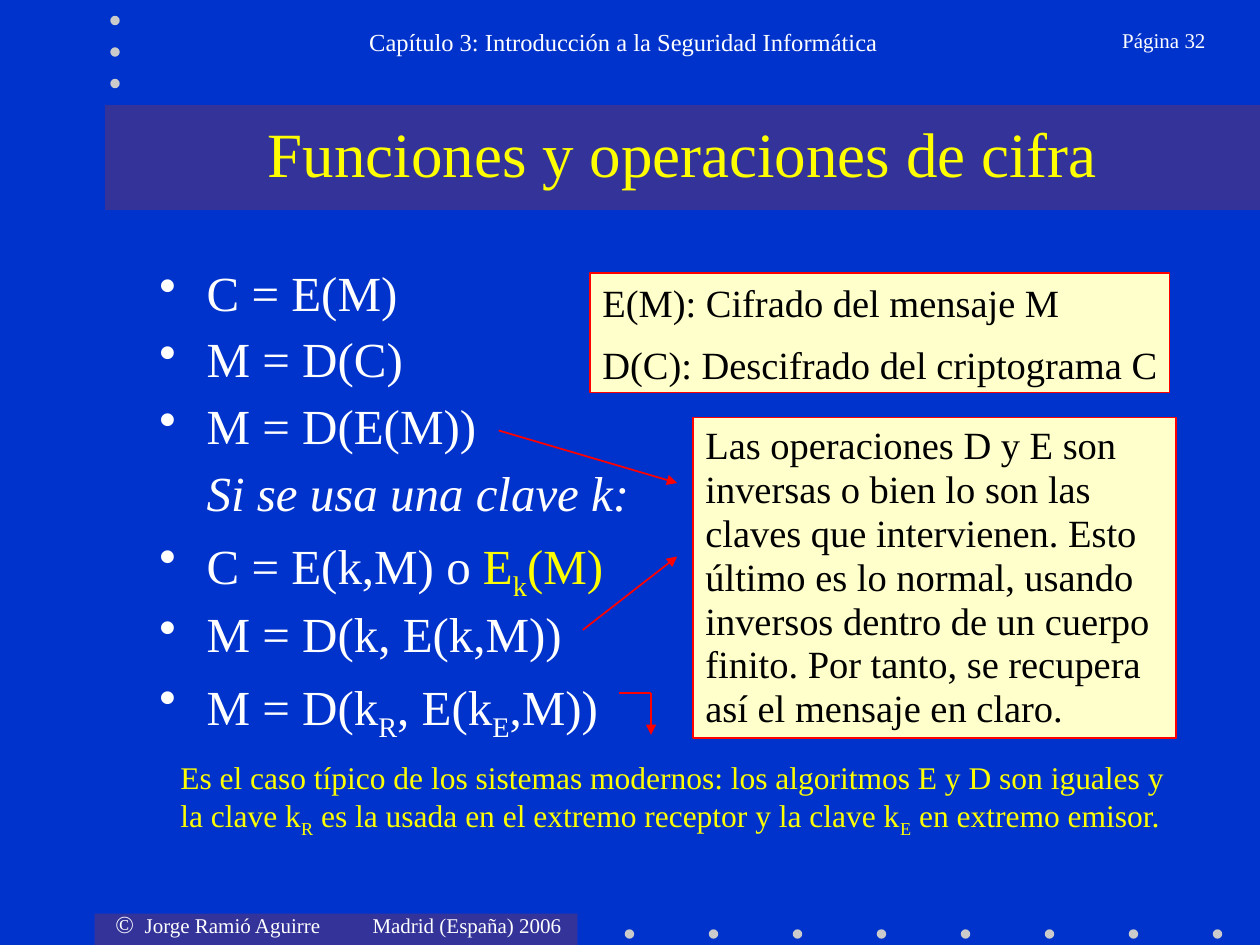
from lxml.etree import SubElement
from pptx import Presentation
from pptx.dml.color import RGBColor
from pptx.enum.shapes import MSO_CONNECTOR as CONN, MSO_SHAPE as SHAPE
from pptx.enum.text import MSO_ANCHOR as ANCHOR, PP_ALIGN as ALIGN
from pptx.oxml.ns import qn
from pptx.util import Inches, Pt

THEME = dict(
    font="Times New Roman", bg="0033CC", band="333399", dot="CBCBCB",
    text="FFFFFF", accent="FFFF00", panel="FFFFCC", ink="000000", red="FF0000",
    title=36, body=28, box=22, note=18, header=14, small=12,
)
COLS, ROWS = 120, 90  # square grid cells, twelve to the inch

# Content: a paragraph is a list of runs (text, format)
SUB = dict(sub=True)
HOT = dict(color="accent")
TITLE = [[("Funciones y operaciones de cifra", {})]]
HEADER = [[("Capítulo 3: Introducción a la Seguridad Informática", {})]]
PAGE = [[("Página 32", {})]]
FOOTER = [[("©", dict(size="header")),
           ("\tJorge Ramió Aguirre\tMadrid (España) 2006", {})]]
FORMULAS = [
    [("C = E(M)", {})],
    [("M = D(C)", {})],
    [("M = D(E(M))", {})],
    [("Si se usa una clave k:", dict(italic=True))],
    [("C = E(k,M) o ", {}), ("E", HOT), ("k", HOT | SUB), ("(M)", HOT)],
    [("M = D(k, E(k,M))", {})],
    [("M = D(k", {}), ("R", SUB), (", E(k", {}), ("E", SUB), (",M))", {})],
]
UNBULLETED = 3
LEGEND = [[("E(M): Cifrado del mensaje M", {})],
          [("D(C): Descifrado del criptograma C", {})]]
REMARK = [[("Las operaciones D y E son inversas o bien lo son las claves que "
            "intervienen. Esto último es lo normal, usando inversos dentro de un "
            "cuerpo finito. Por tanto, se recupera así el mensaje en claro.", {})]]
NOTE = [[("Es el caso típico de los sistemas modernos: los algoritmos E y D son "
          "iguales y la clave k", {}), ("R", SUB),
         (" es la usada en el extremo receptor y la clave k", {}), ("E", SUB),
         (" en extremo emisor.", {})]]

# Arrows: grid points from, to, and whether the end has a head
ARROWS = [
    ((47.5, 41), (64.5, 46), True),
    ((55.5, 60), (64.5, 53), True),
    ((59, 66), (62, 66), False),
    ((62, 66), (62, 70), True),
]

prs = Presentation()
prs.slide_width, prs.slide_height = Inches(10), Inches(7.5)
s = prs.slides.add_slide(prs.slide_layouts[6])


def rgb(name):
    return RGBColor.from_string(THEME[name])


def place(*cells):
    """Turn x, y, x, y... in grid cells into slide lengths."""
    units = (prs.slide_width / COLS, prs.slide_height / ROWS)
    return [round(c * units[i % 2]) for i, c in enumerate(cells)]


def add_shape(kind, cells, fill, line=None):
    sp = s.shapes.add_shape(kind, *place(*cells))
    sp.shadow.inherit = False
    sp.fill.solid()
    sp.fill.fore_color.rgb = rgb(fill)
    if line:
        sp.line.color.rgb = rgb(line)
        sp.line.width = Pt(0.75)
    else:
        sp.line.fill.background()
    return sp


def add_text(paras, cells=None, sp=None, size="box", color="text", align=ALIGN.LEFT,
             anchor=ANCHOR.TOP, wrap=True, before=0, spacing=None, tabs=()):
    sp = sp or s.shapes.add_textbox(*place(*cells))
    tf = sp.text_frame
    tf.word_wrap, tf.vertical_anchor = wrap, anchor
    for i, runs in enumerate(paras):
        p = tf.paragraphs[0] if i == 0 else tf.add_paragraph()
        p.alignment = align
        if spacing:
            p.line_spacing = spacing
        if i:
            p.space_before = Pt(before)
        if tabs:
            tab_list = SubElement(p._p.get_or_add_pPr(), qn("a:tabLst"))
            for pos in tabs:
                SubElement(tab_list, qn("a:tab"), pos=str(place(pos)[0]), algn="l")
        for text, fmt in runs:
            r = p.add_run()
            r.text = text
            r.font.name = THEME["font"]
            r.font.size = Pt(THEME[fmt.get("size", size)])
            r.font.color.rgb = rgb(fmt.get("color", color))
            r.font.italic = fmt.get("italic", False)
            if fmt.get("sub"):
                r._r.get_or_add_rPr().set("baseline", "-25000")
    return tf


def add_arrow(start, end, head):
    c = s.shapes.add_connector(CONN.STRAIGHT, *place(*start, *end))
    c.line.color.rgb = rgb("red")
    c.line.width = Pt(1)
    if head:
        SubElement(c.line._get_or_add_ln(), qn("a:tailEnd"), type="triangle")
    SubElement(c._element.spPr, qn("a:effectLst"))


# Background, bands and dots
s.background.fill.solid()
s.background.fill.fore_color.rgb = rgb("bg")
add_shape(SHAPE.RECTANGLE, (9, 87, 46, 3), "band")
add_shape(SHAPE.RECTANGLE, (10, 10, 110, 10), "band")
dots = [(59.5 + 8 * i, 88.5) for i in range(8)] + [(10.5, 1.5 + 3 * i) for i in range(3)]
for x, y in dots:
    add_shape(SHAPE.OVAL, (x, y, 0.9, 0.9), "dot")

# Header, title and footer
add_text(HEADER, (20.4, 2, 78, 6), size="header", align=ALIGN.CENTER)
add_text(PAGE, (99.6, 2, 16.4, 6), size="small", align=ALIGN.RIGHT)
add_text(TITLE, (14, 10, 102, 9), size="title", color="accent",
         align=ALIGN.CENTER, anchor=ANCHOR.MIDDLE)
add_text(FOOTER, (9.8, 86, 46.2, 4.1), size="small", tabs=(2.8, 24.5))

# Formulas
tf = add_text(FORMULAS, (14, 25, 100, 55), size="body", before=8, spacing=0.9)
for i, p in enumerate(tf.paragraphs):
    pPr = p._p.get_or_add_pPr()
    hang = place(4.5)[0]
    pPr.set("marL", str(hang))
    if i != UNBULLETED:
        pPr.set("indent", str(-hang))
        SubElement(pPr, qn("a:buChar"), char="•")

# Explanations
remark = add_shape(SHAPE.RECTANGLE, (66, 39.8, 46, 30.5), "panel", "red")
add_text(REMARK, sp=remark, color="ink", anchor=ANCHOR.MIDDLE, spacing=0.95)
legend = add_shape(SHAPE.RECTANGLE, (56.2, 26, 55.2, 11.4), "panel", "red")
add_text(LEGEND, sp=legend, color="ink", anchor=ANCHOR.MIDDLE, wrap=False, before=9)
add_text(NOTE, (16, 72.1, 97, 7.9), size="note", color="accent", anchor=ANCHOR.MIDDLE)

for arrow in ARROWS:
    add_arrow(*arrow)

prs.save("out.pptx")
